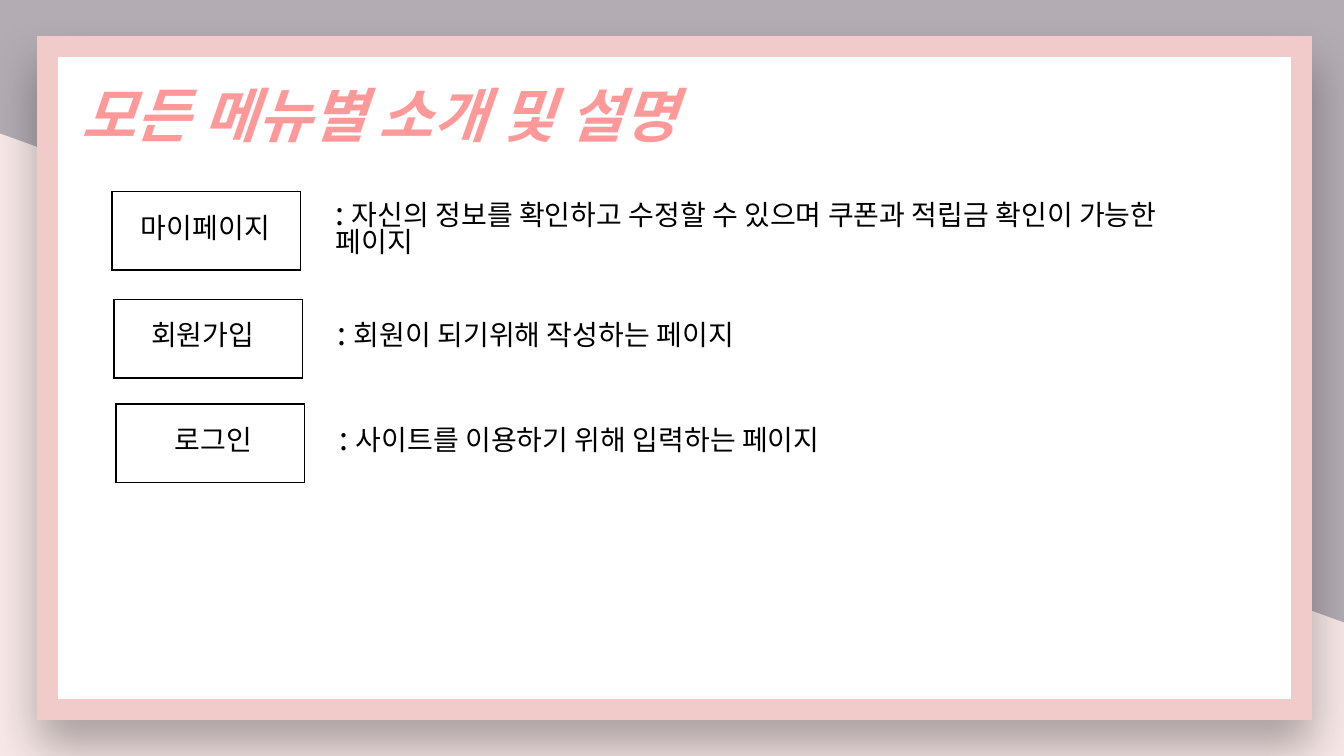
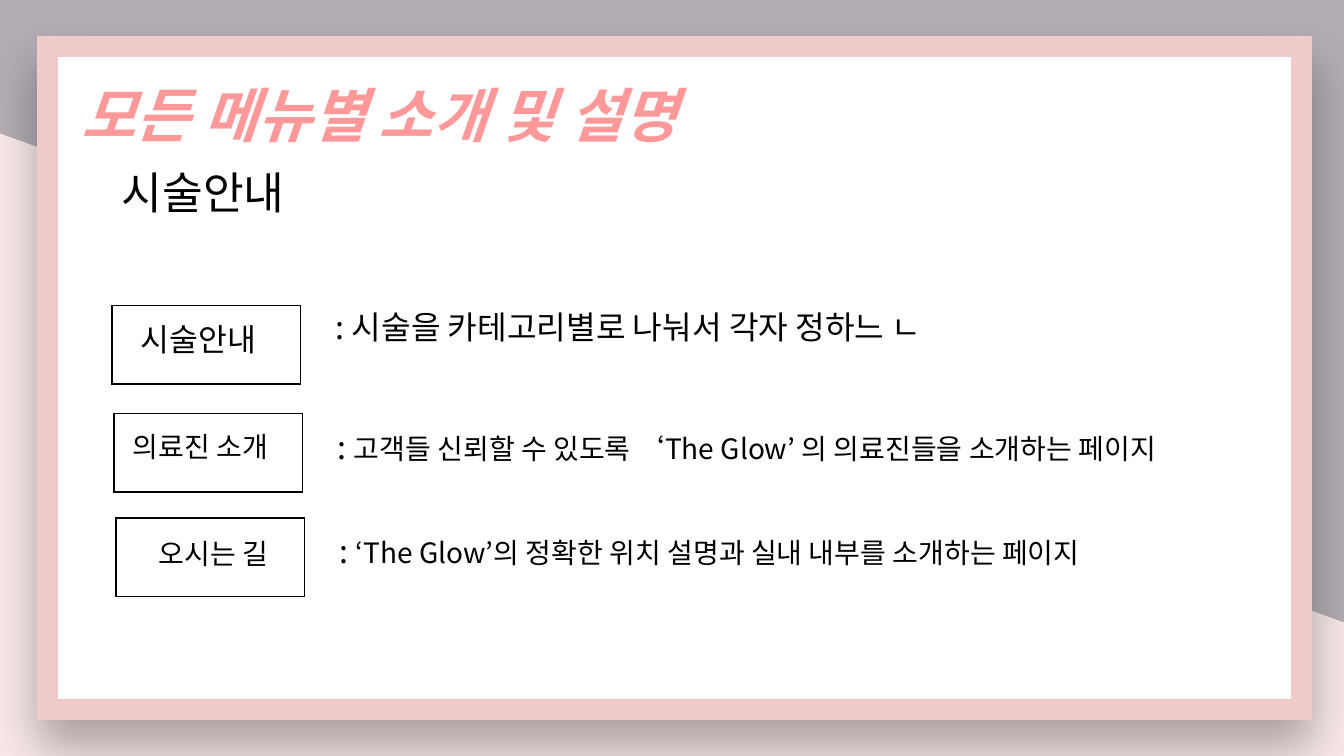
from dataclasses import dataclass

from lxml import etree
from pptx import Presentation
from pptx.dml.color import RGBColor
from pptx.enum.shapes import MSO_SHAPE
from pptx.enum.text import MSO_ANCHOR, MSO_AUTO_SIZE, PP_ALIGN
from pptx.oxml.ns import qn
from pptx.util import Inches, Pt

RECT = MSO_SHAPE.RECTANGLE
LEFT, CENTER = PP_ALIGN.LEFT, PP_ALIGN.CENTER
TOP, MIDDLE = MSO_ANCHOR.TOP, MSO_ANCHOR.MIDDLE
NO_AUTOFIT = MSO_AUTO_SIZE.NONE
TITLE_ONLY = 5


@dataclass(frozen=True)
class Theme:
    font: str = "Noto Sans CJK KR"
    mauve: str = "B3ACB3"
    blush: str = "F8E9E8"
    frame: str = "F0CBCA"
    paper: str = "FFFFFF"
    ink: str = "000000"
    title: str = "FF9999"
    title_size: float = 42
    heading_size: float = 31.6
    label_size: float = 20
    large_label_size: float = 22.4
    text_size: float = 20
    colon_size: float = 23
    frame_width: float = 14.75
    box_width: float = 1


@dataclass(frozen=True)
class MenuRow:
    label: str
    text: str
    label_left: float
    align: int = LEFT
    label_size: float = 20
    label_spacing: float = 0.8
    text_size: float = 20


THEME = Theme()
TITLE = "모든 메뉴별 소개 및 설명"
ROW_OFFSETS = (0, 1.07, 2.11)
TEXT_OFFSETS = (0.04, 0.16, 0.16)
ROW_SHIFT = 0.02

ACCOUNT_ROWS = (
    MenuRow("마이페이지", "자신의 정보를 확인하고 수정할 수 있으며 쿠폰과 적립금 확인이 가능한 페이지", 1.3),
    MenuRow("회원가입", "회원이 되기위해 작성하는 페이지", 1.4),
    MenuRow("로그인", "사이트를 이용하기 위해 입력하는 페이지", 0.99, CENTER),
)
CLINIC_ROWS = (
    MenuRow("시술안내", "시술을 카테고리별로 나눠서 각자 정하느 ㄴ", 1.3,
            label_size=THEME.large_label_size, label_spacing=0.7,
            text_size=THEME.colon_size),
    MenuRow("의료진 소개", "고객들 신뢰할 수 있도록 ‘The Glow’ 의 의료진들을 소개하는 페이지", 1.22,
            label_spacing=0.7),
    MenuRow("오시는 길", "‘The Glow’의 정확한 위치 설명과 실내 내부를 소개하는 페이지", 0.99, CENTER),
)


def color(value):
    return RGBColor.from_string(value)


def style_paragraph(p, size, ink=THEME.ink, align=LEFT, spacing=None):
    p.alignment = align
    if spacing:
        p.line_spacing = spacing
    p.font.size = Pt(size)
    p.font.color.rgb = color(ink)
    p.font.name = THEME.font
    props = p._p.get_or_add_pPr().find(qn("a:defRPr"))
    etree.SubElement(props, qn("a:ea"), typeface=THEME.font)


def set_background(prs):
    fill = prs.slide_master.background.fill
    fill.gradient()
    fill.gradient_angle = 250
    for stop, value in zip(fill.gradient_stops, (THEME.mauve, THEME.blush)):
        stop.position = 0.5
        stop.color.rgb = color(value)


def add_rect(s, left, top, width, height, line, line_width, fill=None):
    sp = s.shapes.add_shape(RECT, Inches(left), Inches(top), Inches(width), Inches(height))
    sp.shadow.inherit = False
    if fill:
        sp.fill.solid()
        sp.fill.fore_color.rgb = color(fill)
    else:
        sp.fill.background()
    sp.line.color.rgb = color(line)
    sp.line.width = Pt(line_width)
    etree.SubElement(sp.line._get_or_add_ln(), qn("a:miter"), lim="800000")
    return sp


def add_frame(s):
    sp = add_rect(s, 0.47, 0.46, 12.44, 6.58, THEME.frame, THEME.frame_width, THEME.paper)
    effects = sp._element.spPr.find(qn("a:effectLst"))
    shadow = etree.SubElement(effects, qn("a:outerShdw"), blurRad=str(Pt(34)),
                              dist=str(Pt(19)), dir="5400000", algn="t", rotWithShape="0")
    tint = etree.SubElement(shadow, qn("a:srgbClr"), val=THEME.ink)
    etree.SubElement(tint, qn("a:alpha"), val="31000")
    s.shapes._spTree.insert(2, sp._element)


def set_title(s):
    sp = s.shapes.title
    sp.left, sp.top, sp.width, sp.height = map(Inches, (0.71, 0.74, 11.9, 0.79))
    tf = sp.text_frame
    tf.text = TITLE
    tf.auto_size = NO_AUTOFIT
    tf.vertical_anchor = MIDDLE
    p = tf.paragraphs[0]
    style_paragraph(p, THEME.title_size, THEME.title)
    p.font.bold = p.font.italic = True


def add_text(s, left, top, width, height, text, size, spacing, align=LEFT, lead=""):
    tf = s.shapes.add_textbox(Inches(left), Inches(top), Inches(width), Inches(height)).text_frame
    tf.word_wrap = True
    tf.vertical_anchor = TOP
    p = tf.paragraphs[0]
    style_paragraph(p, size, align=align, spacing=spacing)
    if lead:
        r = p.add_run()
        r.text = lead
        r.font.size = Pt(THEME.colon_size)
    p.add_run().text = text


def add_menu_rows(s, top, rows):
    for i, (row, offset, text_offset) in enumerate(zip(rows, ROW_OFFSETS, TEXT_OFFSETS)):
        left, y = 1.11 + ROW_SHIFT * i, top + offset
        add_rect(s, left, y, 1.87, 0.78, THEME.ink, THEME.box_width)
        add_text(s, row.label_left, y + 0.2, 2.25, 0.5, row.label,
                 row.label_size, row.label_spacing, row.align)
        add_text(s, left + 2.12, y + text_offset, 9.13, 0.85, row.text,
                 row.text_size, 0.8, lead=": ")


def add_menu_slide(prs, top, rows, heading=""):
    s = prs.slides.add_slide(prs.slide_layouts[TITLE_ONLY])
    add_frame(s)
    set_title(s)
    add_menu_rows(s, top, rows)
    if heading:
        add_text(s, 1.11, 1.76, 2.25, 0.5, heading, THEME.heading_size, 0.65)


def main():
    prs = Presentation()
    prs.slide_width, prs.slide_height = Inches(13.33), Inches(7.5)
    set_background(prs)
    add_menu_slide(prs, 1.9, ACCOUNT_ROWS)
    add_menu_slide(prs, 3.03, CLINIC_ROWS, "시술안내")
    prs.save("out.pptx")


if __name__ == "__main__":
    main()
